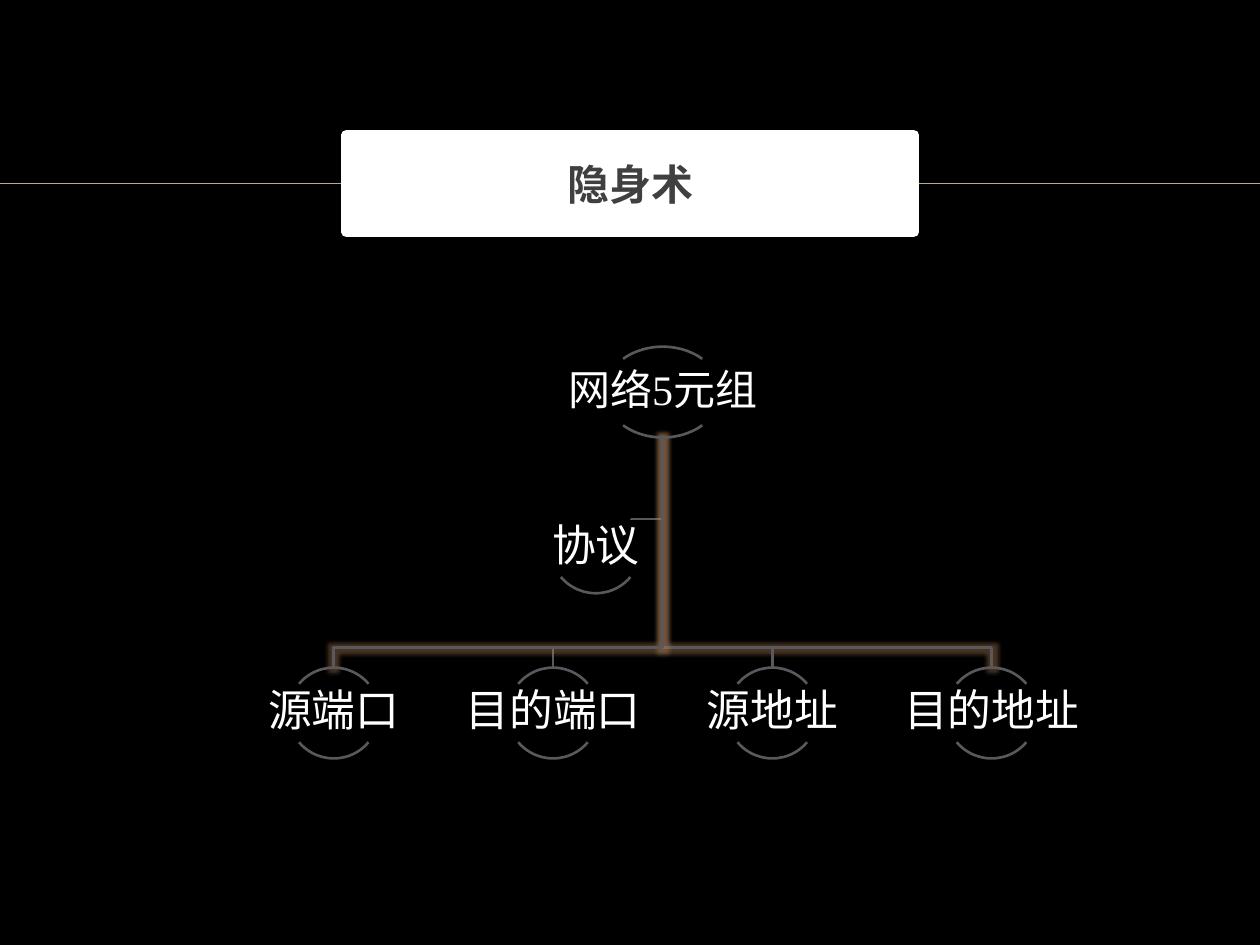
"""Build a slide with a hierarchy of the five network tuple fields."""
import pptx
import pptx.util
import pptx.dml.color
import pptx.enum.shapes
import pptx.enum.text
import pptx.oxml
import pptx.oxml.ns

Cm, Pt = pptx.util.Cm, pptx.util.Pt
MIDDLE = pptx.enum.text.MSO_ANCHOR.MIDDLE
CENTER = pptx.enum.text.PP_ALIGN.CENTER
FONT = "Times New Roman"
COLORS = {"background": "000000", "rule": "BBAA8A", "title": "404040",
          "white": "FFFFFF", "branch": "59595D", "glow": "B4835A"}
RGB = {name: pptx.dml.color.RGBColor.from_string(value) for name, value in COLORS.items()}
NS = pptx.oxml.ns.nsdecls("a")


def add_label(frame, text, size, color, bold=False):
    frame.word_wrap = True
    frame.vertical_anchor = MIDDLE
    paragraph = frame.paragraphs[0]
    paragraph.alignment = CENTER
    run = paragraph.add_run()
    run.text = text
    run.font.name = FONT
    run.font.size = Pt(size)
    run.font.bold = bold
    run.font.color.rgb = RGB[color]
    return paragraph


def add_node(shapes, text, center, top, width, size, hides_branch=False):
    for start, end in ((132, 192), (24, 84)):
        arc = shapes.add_shape(pptx.enum.shapes.MSO_SHAPE.ARC,
                               Cm(center - width / 2), Cm(top), Cm(width), Cm(1.83))
        arc.adjustments[0], arc.adjustments[1] = start, end
        arc.shadow.inherit = False
        arc.line.width = Pt(1.5)
        if hides_branch and start == 132:
            arc.fill.solid()
            arc.fill.fore_color.rgb = RGB["background"]
            arc.line.color.rgb = RGB["background"]
        else:
            arc.fill.background()
            arc.line.color.rgb = RGB["branch"]
    label = shapes.add_textbox(Cm(center - width), Cm(top + 0.32), Cm(2 * width), Cm(1.17))
    frame = label.text_frame
    frame.margin_left = frame.margin_right = Cm(0.05)
    frame.margin_top = frame.margin_bottom = Cm(0.05)
    add_label(frame, text, size, "white").line_spacing = 0.9


deck = pptx.Presentation()
deck.slide_width, deck.slide_height = Cm(25.4), Cm(19.05)
slide = deck.slides.add_slide(deck.slide_layouts[5])
slide.background.fill.solid()
slide.background.fill.fore_color.rgb = RGB["background"]
shapes = slide.shapes

rule = shapes.add_connector(pptx.enum.shapes.MSO_CONNECTOR.STRAIGHT,
                            0, Cm(3.7), deck.slide_width, Cm(3.7))
rule.line.color.rgb = RGB["rule"]
rule.line.width = Pt(1)
rule._element.spPr.append(pptx.oxml.parse_xml(f"<a:effectLst {NS}/>"))

title = shapes.title
rule._element.addnext(title._element)
title.left, title.top, title.width, title.height = Cm(6.99), Cm(2.72), Cm(11.43), Cm(1.96)
title.fill.solid()
title.fill.fore_color.rgb = RGB["white"]
title.line.color.rgb = RGB["white"]
title.line.width = Pt(6)
title.text_frame.auto_size = pptx.enum.text.MSO_AUTO_SIZE.NONE
add_label(title.text_frame, "隐身术", 24, "title", bold=True).space_before = Pt(4)

fields = ["源端口", "目的端口", "源地址", "目的地址"]
centers = [6.73 + 4.42 * index for index in range(len(fields))]
trunk = sum(centers) / len(centers)
root_bottom, bus, field_top, protocol_join = 8.82, 13.06, 13.46, 10.46

routes = [[(trunk, protocol_join), (12.7, protocol_join)]]
routes += [[(trunk, bus), (center, bus), (center, field_top)] for center in reversed(centers)]
for route in routes:
    builder = shapes.build_freeform(Cm(trunk), Cm(root_bottom))
    builder.add_line_segments([(Cm(x), Cm(y)) for x, y in route], close=False)
    branch = builder.convert_to_shape()
    branch.shadow.inherit = False
    branch.fill.background()
    branch.line.color.rgb = RGB["branch"]
    branch.line.width = Pt(1.5)
    if route[-1][0] in (centers[0], centers[-1]):
        effects = branch._element.spPr.find(pptx.oxml.ns.qn("a:effectLst"))
        effects.append(pptx.oxml.parse_xml(
            f'<a:glow {NS} rad="{Pt(5)}"><a:srgbClr val="{COLORS["glow"]}">'
            '<a:alpha val="40000"/></a:srgbClr></a:glow>'))

add_node(shapes, "网络5元组", trunk, 6.99, 2.34, 24)
for field, center in zip(fields, centers):
    add_node(shapes, field, center, field_top, 1.83, 25)
add_node(shapes, "协议", 12.01, 10.13, 1.83, 25, hides_branch=True)

deck.save("out.pptx")
